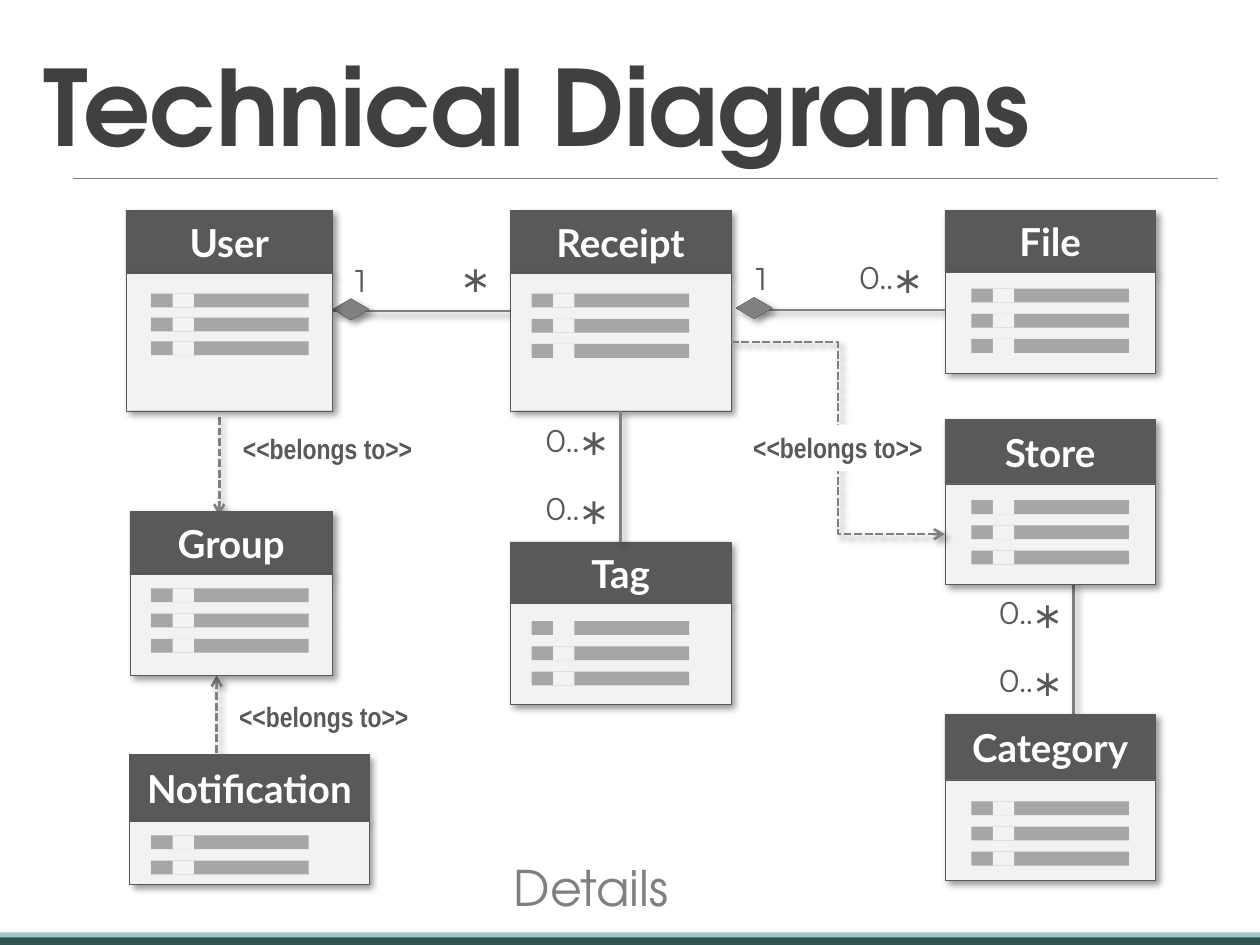
from lxml import etree
from pptx import Presentation, util as u
from pptx.dml.color import RGBColor
from pptx.enum import dml, shapes, text
from pptx.oxml.ns import qn

COLORS = {"ink": "404040", "dark": "595959", "line": "808080", "bar": "A6A6A6",
          "body": "F2F2F2", "white": "FFFFFF", "teal": "305250", "mint": "A1C8C5",
          "shadow": "000000"}

FORMATS = {
    "title": ({"size": u.Pt(60), "name": "TeX Gyre Adventor", "bold": True}, "ink"),
    "details": ({"size": u.Pt(28), "name": "TeX Gyre Adventor"}, "line"),
    "entity": ({"size": u.Pt(22), "name": "Lato", "bold": True}, "white"),
    "number": ({"size": u.Pt(18), "name": "Montserrat"}, "dark"),
    "star": ({"size": u.Pt(36), "name": "Montserrat"}, "dark"),
    "relation": ({"size": u.Pt(16), "name": "Arial Narrow", "bold": True}, "dark"),
}

# name: left, top, width, header height, body height, bars left, bars top, bars, pitch
ENTITIES = {
    "User": (1, 1.67, 1.64, 0.5, 1.09, 1.2, 2.33, 3, 0.19),
    "Receipt": (4.05, 1.67, 1.75, 0.5, 1.09, 4.22, 2.33, 3, 0.2),
    "File": (7.5, 1.67, 1.67, 0.49, 0.8, 7.71, 2.29, 3, 0.2),
    "Group": (1.03, 4.06, 1.61, 0.5, 0.8, 1.2, 4.67, 3, 0.2),
    "Tag": (4.05, 4.3, 1.75, 0.49, 0.8, 4.22, 4.93, 3, 0.2),
    "Store": (7.5, 3.33, 1.67, 0.51, 0.8, 7.71, 3.97, 3, 0.2),
    "Category": (7.5, 5.67, 1.67, 0.52, 0.8, 7.71, 6.36, 3, 0.2),
    "Notification": (1.03, 5.99, 1.9, 0.53, 0.5, 1.2, 6.63, 2, 0.2),
}
ASSOCIATIONS = [(5.99, 2.46, 7.62, 2.46), (2.63, 2.47, 4.13, 2.47), (8.52, 4.63, 8.52, 5.67)]
DEPENDENCIES = [(1.72, 6.14, 1.72, 5.36), (1.74, 3.31, 1.74, 4.09)]
DIAMONDS = [(5.9, 2.3), (2.7, 2.31)]
RELATIONS = [(5.88, 3.37), (1.8, 5.5), (1.83, 3.38)]
ONES = [(2.72, 2.02), (5.9, 2.01)]
MANY = [(3.58, 1.96)]
ZERO_TO_MANY = [(6.72, 2), (4.23, 3.29), (4.23, 3.83), (7.83, 4.66), (7.83, 5.2)]

BAR_WIDTH, BAR_HEIGHT, GAP_OFFSET, GAP_WIDTH = 1.25, 0.11, 0.17, 0.17

deck = Presentation()
deck.slide_width, deck.slide_height = u.Inches(10), u.Inches(7.5)
slide = deck.slides.add_slide(deck.slide_layouts[6])


def color(name):
    return RGBColor.from_string(COLORS[name])


def inches(*lengths):
    return [u.Inches(length) for length in lengths]


def effects(item, cast):
    properties = item._element.spPr
    effect_list = etree.SubElement(properties, qn("a:effectLst"))
    if cast:
        shadow = etree.SubElement(effect_list, qn("a:outerShdw"), blurRad="50800",
                                  dist="38100", dir="2700000", algn="tl", rotWithShape="0")
        tint = etree.SubElement(shadow, qn("a:srgbClr"), val=COLORS["shadow"])
        etree.SubElement(tint, qn("a:alpha"), val="40000")


def block(box, fill, outlined=False, kind=shapes.MSO_SHAPE.RECTANGLE, parent=slide):
    item = parent.shapes.add_shape(kind, *inches(*box))
    item.fill.solid()
    item.fill.fore_color.rgb = color(fill)
    if outlined:
        item.line.color.rgb = color("dark")
        item.line.width = u.Pt(0.25)
    else:
        item.line.fill.background()
    effects(item, outlined)
    return item


def write(item, words, style, **frame_values):
    frame = item.text_frame
    for key, value in ({"word_wrap": True} | frame_values).items():
        setattr(frame, key, value)
    paragraph = frame.paragraphs[0]
    run = paragraph.add_run()
    run.text = words
    values, ink = FORMATS[style]
    for key, value in values.items():
        setattr(run.font, key, value)
    run.font.color.rgb = color(ink)
    return paragraph


def label(box, words, style, **frame_values):
    item = slide.shapes.add_textbox(*inches(*box))
    write(item, words, style, auto_size=text.MSO_AUTO_SIZE.SHAPE_TO_FIT_TEXT, **frame_values)
    return item


def link(ends, width=1.5, arrow=False, cast=True, kind=shapes.MSO_CONNECTOR.STRAIGHT):
    item = slide.shapes.add_connector(kind, *inches(*ends))
    item.line.color.rgb = color("line")
    item.line.width = u.Pt(width)
    if arrow:
        item.line.dash_style = dml.MSO_LINE.SQUARE_DOT
        etree.SubElement(item.line._get_or_add_ln(), qn("a:tailEnd"), type="arrow")
    effects(item, cast)
    return item


block((0, 7.43, 10, 0.08), "teal")
block((0, 7.4, 10, 0.04), "mint")
link((0.58, 1.42, 9.67, 1.42), width=0.5, cast=False)

title = slide.shapes.add_textbox(*inches(0.25, 0.17, 9.08, 1.21))
heading = write(title, "Technical Diagrams", "title", vertical_anchor=text.MSO_ANCHOR.BOTTOM)
heading.line_spacing = 0.85
heading.runs[0].font._element.set("spc", "-50")

for ends in ASSOCIATIONS:
    link(ends)
for ends in DEPENDENCIES:
    link(ends, arrow=True)
for left, top in DIAMONDS:
    diamond = block((left, top, 0.17, 0.29), "line", True, shapes.MSO_SHAPE.DIAMOND)
    diamond.rotation = 270

headers, bodies = {}, {}
for name, (left, top, width, head, depth, bar_left, bar_top, bars, pitch) in ENTITIES.items():
    headers[name] = block((left, top, width, head), "dark", True)
    write(headers[name], name, "entity", vertical_anchor=text.MSO_ANCHOR.MIDDLE,
          ).alignment = text.PP_ALIGN.CENTER
    bodies[name] = block((left, top + head, width, depth), "body", True)
    fields = slide.shapes.add_group_shape()
    for row in range(bars):
        y = bar_top + row * pitch
        block((bar_left, y, BAR_WIDTH, BAR_HEIGHT), "bar", parent=fields)
        block((bar_left + GAP_OFFSET, y, GAP_WIDTH, BAR_HEIGHT), "body", parent=fields)

receipt_store = link((5.8, 2.71, 7.5, 4.24), arrow=True, kind=shapes.MSO_CONNECTOR.ELBOW)
receipt_store.begin_connect(bodies["Receipt"], 3)
receipt_store.end_connect(bodies["Store"], 1)
receipt_tag = link((4.93, 3.26, 4.93, 4.3))
receipt_tag.begin_connect(bodies["Receipt"], 2)
receipt_tag.end_connect(headers["Tag"], 0)

for left, top in RELATIONS:
    relation = label((left, top, 1.56, 0.37), "<<belongs to>>", "relation", word_wrap=False)
    relation.fill.solid()
    relation.fill.fore_color.rgb = color("white")
for left, top in ONES:
    label((left, top, 0.33, 0.4), "1", "number")
for left, top in ZERO_TO_MANY:
    label((left, top, 0.62, 0.4), "0..", "number")
for left, top in MANY + [(left + 0.29, top - 0.03) for left, top in ZERO_TO_MANY]:
    label((left, top, 0.33, 0.71), "*", "star")

details = block((3.92, 6.83, 1.54, 0.42), "white")
write(details, "Details", "details", vertical_anchor=text.MSO_ANCHOR.MIDDLE,
      ).alignment = text.PP_ALIGN.CENTER

deck.save("out.pptx")
